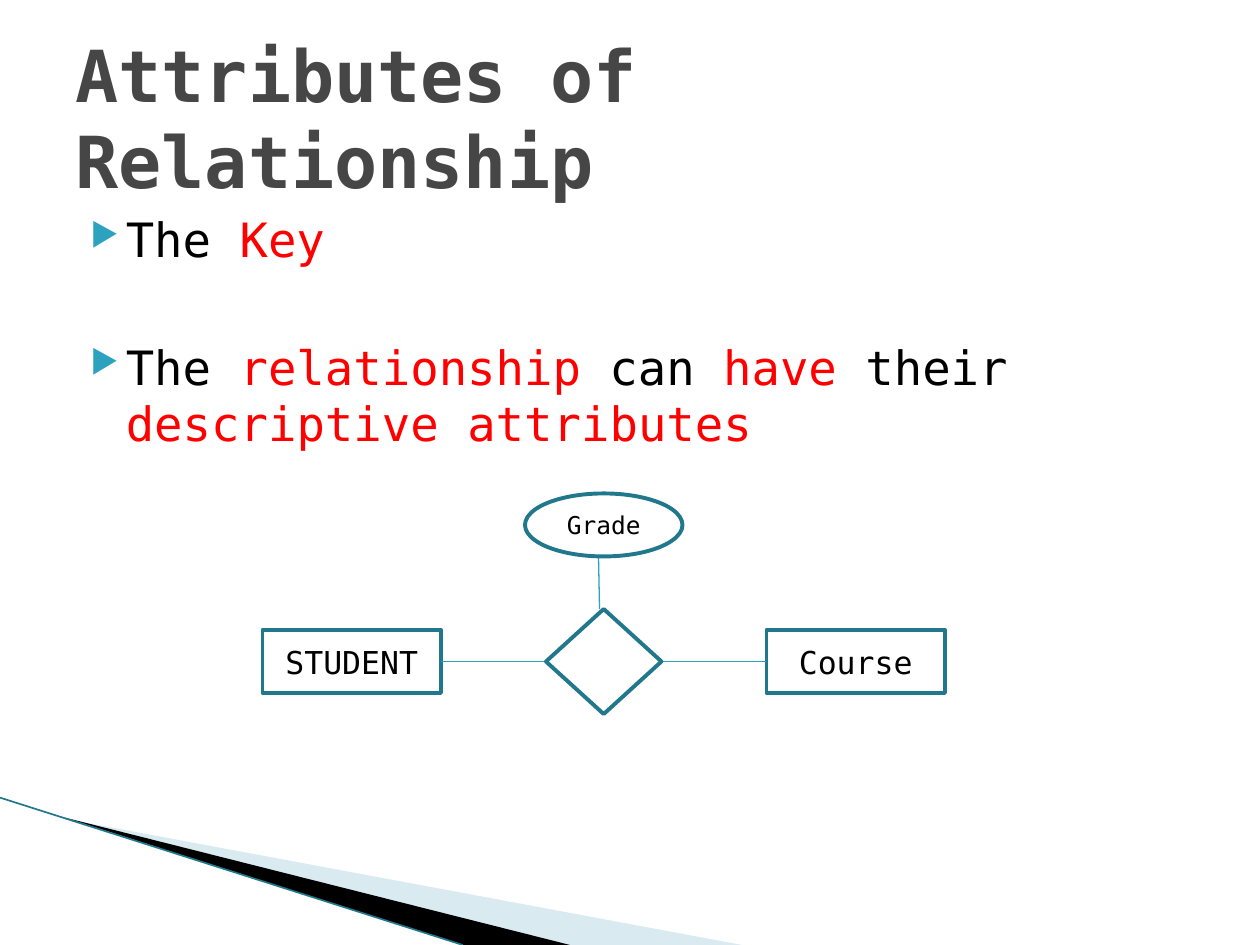
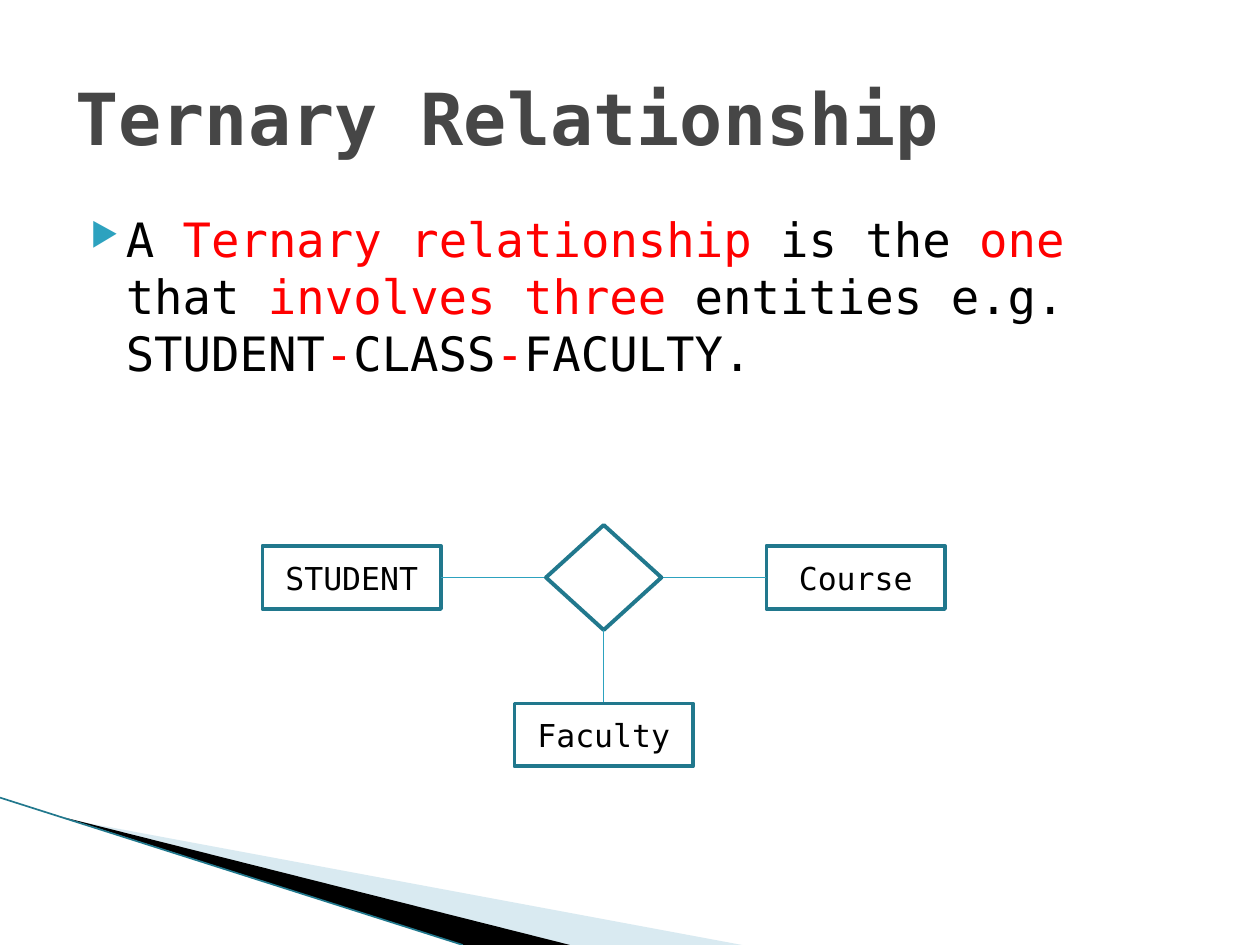
from dataclasses import dataclass

from lxml.etree import SubElement
from pptx import Presentation
from pptx.dml.color import RGBColor
from pptx.enum.shapes import MSO_CONNECTOR, MSO_SHAPE as Geometry
from pptx.enum.text import MSO_ANCHOR as Anchor, PP_ALIGN as Align
from pptx.oxml.ns import qn
from pptx.slide import Slide
from pptx.text.text import TextFrame, _Paragraph as Paragraph
from pptx.util import Pt

FONT = "DejaVu Sans Mono"
BLACK, RED, WHITE = "000000", "FF0000", "FFFFFF"
TITLE_GREY, OUTLINE, ACCENT, PALE = "464646", "21788D", "2DA2BF", "A0CBDC"
CENTER_X = 345
BOX_OFFSET = 144
DIAMOND_WIDTH, DIAMOND_HEIGHT = 66, 60
BOX_WIDTH, BOX_HEIGHT = 102, 36


@dataclass
class Wedge:
    corners: list[tuple[float, float]]
    color: str
    opacity: int = 100


@dataclass
class Node:
    center_x: float
    center_y: float
    label: str = ""
    geometry: Geometry = Geometry.RECTANGLE
    width: float = BOX_WIDTH
    height: float = BOX_HEIGHT
    size: float = 18


@dataclass
class Link:
    start: tuple[float, float]
    end: tuple[float, float]
    color: str = ACCENT
    width: float = 0.75


@dataclass
class Bullet:
    phrases: list[str]
    space_before: float = 4


@dataclass
class Topic:
    title: str
    bullets: list[Bullet]
    axis_y: float
    extra_node: Node
    extra_link: Link


WEDGES = [
    Wedge([(39.6, 468.4), (424, 540), (325, 540)], PALE, 40),
    Wedge([(37, 467.2), (325.7, 540), (264.5, 540)], BLACK),
]
WEDGE_EDGE = Link((0, 455.8), (264.5, 540), OUTLINE, 0.95)

TOPICS = [
    Topic(
        "Attributes of Relationship",
        [
            Bullet(["The ", "Key"]),
            Bullet(["The ", "relationship", " can ", "have", " their ",
                    "descriptive attributes"], 40.5),
        ],
        378,
        Node(CENTER_X, 300, "Grade", Geometry.OVAL, 90, 36, 14),
        Link((342.6, 348), (342, 318)),
    ),
    Topic(
        "Ternary Relationship",
        [
            Bullet(["A ", "Ternary relationship ", "is the ", "one", " that ",
                    "involves three ", "entities e.g. STUDENT", "-", "CLASS",
                    "-", "FACULTY."]),
        ],
        330,
        Node(CENTER_X, 420, "Faculty"),
        Link((CENTER_X, 360), (CENTER_X, 402)),
    ),
]


def rgb(color: str) -> RGBColor:
    return RGBColor.from_string(color)


def style_font(paragraph: Paragraph, size: float, color: str, bold: bool = False) -> None:
    font = paragraph.font
    font.name, font.size, font.bold = FONT, Pt(size), bold
    font.color.rgb = rgb(color)


def draw_wedge(slide: Slide, wedge: Wedge) -> None:
    first, *others = [(Pt(x), Pt(y)) for x, y in wedge.corners]
    builder = slide.shapes.build_freeform(*first)
    builder.add_line_segments(others, close=True)
    outline = builder.convert_to_shape()
    outline.shadow.inherit = False
    outline.fill.solid()
    outline.fill.fore_color.rgb = rgb(wedge.color)
    outline.line.fill.background()
    if wedge.opacity < 100:
        tint = outline.fill._xPr.find(qn("a:solidFill"))[0]
        SubElement(tint, qn("a:alpha"), val=str(wedge.opacity * 1000))


def draw_link(slide: Slide, link: Link) -> None:
    ends = [Pt(value) for value in (*link.start, *link.end)]
    connector = slide.shapes.add_connector(MSO_CONNECTOR.STRAIGHT, *ends)
    connector.line.color.rgb = rgb(link.color)
    connector.line.width = Pt(link.width)
    SubElement(connector._element.spPr, qn("a:effectLst"))


def draw_node(slide: Slide, node: Node) -> None:
    shape = slide.shapes.add_shape(
        node.geometry,
        Pt(node.center_x - node.width / 2), Pt(node.center_y - node.height / 2),
        Pt(node.width), Pt(node.height),
    )
    shape.shadow.inherit = False
    shape.fill.solid()
    shape.fill.fore_color.rgb = rgb(WHITE)
    shape.line.color.rgb = rgb(OUTLINE)
    shape.line.width = Pt(2.25)
    if node.label:
        shape.text_frame.vertical_anchor = Anchor.MIDDLE
        label = shape.text_frame.paragraphs[0]
        label.text = node.label
        label.alignment = Align.CENTER
        style_font(label, node.size, BLACK)


def add_text_area(slide: Slide, top: float, height: float) -> TextFrame:
    frame = slide.shapes.add_textbox(Pt(36), Pt(top), Pt(648), Pt(height)).text_frame
    frame.word_wrap = True
    return frame


def draw_title(slide: Slide, title: str) -> None:
    frame = add_text_area(slide, 21.6, 90)
    frame.vertical_anchor = Anchor.MIDDLE
    heading = frame.paragraphs[0]
    heading.text = title
    style_font(heading, 41, TITLE_GREY, bold=True)


def fill_bullet(paragraph: Paragraph, bullet: Bullet) -> None:
    paragraph.space_before = Pt(bullet.space_before)
    properties = paragraph._p.get_or_add_pPr()
    properties.set("marL", str(Pt(28.8)))
    properties.set("indent", str(Pt(-20.2)))
    marker_color = SubElement(properties, qn("a:buClr"))
    SubElement(marker_color, qn("a:srgbClr"), val=ACCENT)
    SubElement(properties, qn("a:buSzPct"), val="68000")
    SubElement(properties, qn("a:buChar"), char="▶")
    style_font(paragraph, 27, BLACK)
    for index, phrase in enumerate(bullet.phrases):
        run = paragraph.add_run()
        run.text = phrase
        run.font.color.rgb = rgb(RED if index % 2 else BLACK)


def draw_bullets(slide: Slide, bullets: list[Bullet]) -> None:
    frame = add_text_area(slide, 116.6, 356.4)
    for index, bullet in enumerate(bullets):
        paragraph = frame.add_paragraph() if index else frame.paragraphs[0]
        fill_bullet(paragraph, bullet)


def draw_diagram(slide: Slide, topic: Topic) -> None:
    y = topic.axis_y
    for side, entity in ((-1, "STUDENT"), (1, "Course")):
        draw_node(slide, Node(CENTER_X + side * BOX_OFFSET, y, entity))
        inner_edge = CENTER_X + side * (BOX_OFFSET - BOX_WIDTH / 2)
        diamond_tip = CENTER_X + side * DIAMOND_WIDTH / 2
        draw_link(slide, Link((inner_edge, y), (diamond_tip, y)))
    draw_node(slide, Node(CENTER_X, y, geometry=Geometry.DIAMOND,
                          width=DIAMOND_WIDTH, height=DIAMOND_HEIGHT))
    draw_link(slide, topic.extra_link)
    draw_node(slide, topic.extra_node)


def main() -> None:
    deck = Presentation()
    deck.slide_width, deck.slide_height = Pt(720), Pt(540)
    for topic in TOPICS:
        slide = deck.slides.add_slide(deck.slide_layouts[6])
        for wedge in WEDGES:
            draw_wedge(slide, wedge)
        draw_link(slide, WEDGE_EDGE)
        draw_bullets(slide, topic.bullets)
        draw_title(slide, topic.title)
        draw_diagram(slide, topic)
    deck.save("out.pptx")


if __name__ == "__main__":
    main()
